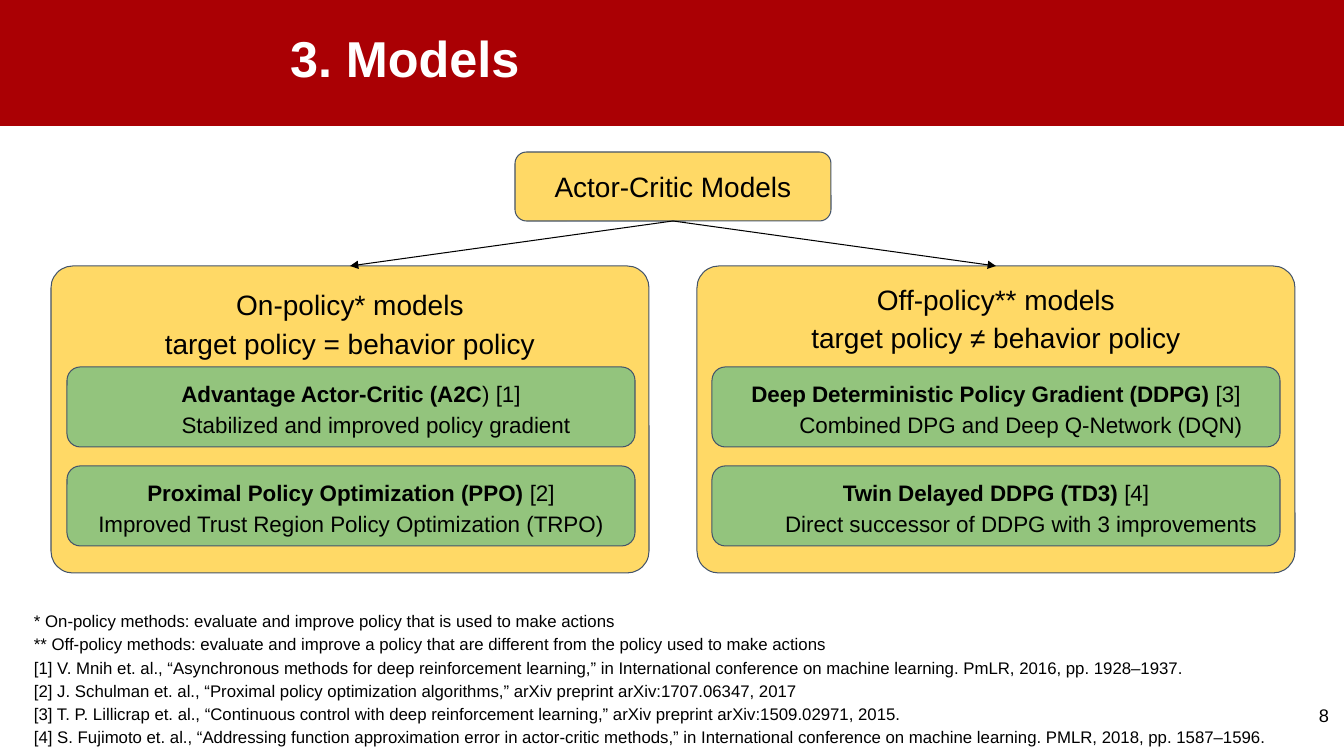
"""Build the slide that sorts actor-critic models into on-policy and off-policy groups."""
from lxml.etree import SubElement
from pptx import Presentation
from pptx.dml.color import RGBColor
from pptx.enum.shapes import MSO_CONNECTOR, MSO_SHAPE
from pptx.enum.text import MSO_ANCHOR, PP_ALIGN
from pptx.oxml.ns import qn
from pptx.util import Emu, Pt

RED = RGBColor(0xAA, 0x00, 0x04)
YELLOW = RGBColor(0xFF, 0xD9, 0x66)
GREEN = RGBColor(0x93, 0xC4, 0x7D)
SLATE = RGBColor(0x44, 0x54, 0x6A)
BLACK = RGBColor(0x00, 0x00, 0x00)
WHITE = RGBColor(0xFF, 0xFF, 0xFF)

GROUPS = [
    (
        51,
        [("On-policy* models", 1.15), ("target policy = behavior policy", 1.15)],
        67,
        [
            ("Advantage Actor-Critic (A2C", ") [1]", "Stabilized and improved policy gradient", 50),
            ("Proximal Policy Optimization (PPO) ", "[2]",
             "Improved Trust Region Policy Optimization (TRPO)", 0),
        ],
    ),
    (
        697,
        [("Off-policy** models", 1.0), ("target policy ≠ behavior policy", 1.15)],
        712,
        [
            ("Deep Deterministic Policy Gradient (DDPG) ", "[3]",
             "Combined DPG and Deep Q-Network (DQN)", 50),
            ("Twin Delayed DDPG (TD3) ", "[4]", "Direct successor of DDPG with 3 improvements", 50),
        ],
    ),
]

FOOTNOTES = [
    "* On-policy methods: evaluate and improve policy that is used to make actions",
    "** Off-policy methods: evaluate and improve a policy that are different from the policy used to make actions",
    "[1] V. Mnih et. al., “Asynchronous methods for deep reinforcement learning,” in International conference on machine learning. PmLR, 2016, pp. 1928–1937.",
    "[2] J. Schulman et. al., “Proximal policy optimization algorithms,” arXiv preprint arXiv:1707.06347, 2017",
    "[3] T. P. Lillicrap et. al., “Continuous control with deep reinforcement learning,” arXiv preprint arXiv:1509.02971, 2015.",
    "[4] S. Fujimoto et. al., “Addressing function approximation error in actor-critic methods,” in International conference on machine learning. PMLR, 2018, pp. 1587–1596.",
]


def px(length):
    return Emu(round(length * 914400 / 100.8))


class Painter:
    def __init__(self, page, font="Arial"):
        self.page = page
        self.font = font

    def fill_text(self, box, paragraphs, size, color=BLACK, align=PP_ALIGN.LEFT,
                  anchor=MSO_ANCHOR.TOP, inset=10):
        frame = box.text_frame
        frame.word_wrap = True
        frame.vertical_anchor = anchor
        frame.margin_left = frame.margin_right = px(10)
        frame.margin_top = frame.margin_bottom = px(inset)
        for index, (spans, spacing, indent) in enumerate(paragraphs):
            para = frame.add_paragraph() if index else frame.paragraphs[0]
            para.alignment = align
            para.line_spacing = spacing
            para.space_before = para.space_after = Pt(0)
            if indent:
                para._p.get_or_add_pPr().set("marL", str(px(indent)))
            for text, bold in spans:
                span = para.add_run()
                span.text = text
                span.font.name = self.font
                span.font.size = Pt(size)
                span.font.bold = bold
                span.font.color.rgb = color

    def shape(self, kind, area, fill):
        box = self.page.shapes.add_shape(kind, *map(px, area))
        box.shadow.inherit = False
        box.fill.solid()
        box.fill.fore_color.rgb = fill
        box.line.fill.background()
        return box

    def card(self, area, fill, paragraphs, size, rounding=0.167, anchor=MSO_ANCHOR.MIDDLE):
        box = self.shape(MSO_SHAPE.ROUNDED_RECTANGLE, area, fill)
        box.adjustments[0] = rounding
        box.line.color.rgb = SLATE
        box.line.width = Pt(0.75)
        self.fill_text(box, paragraphs, size, align=PP_ALIGN.CENTER, anchor=anchor)
        return box

    def text(self, area, paragraphs, size, **style):
        box = self.page.shapes.add_textbox(*map(px, area))
        self.fill_text(box, paragraphs, size, **style)

    def title(self, area, text):
        box = self.page.shapes.title
        box.left, box.top, box.width, box.height = map(px, area)
        self.fill_text(box, [([(text, True)], 0.9, 0)], 36, color=WHITE,
                       anchor=MSO_ANCHOR.MIDDLE, inset=5)
        self.page.shapes.element.append(box.element)

    def arrow(self, parent, child):
        link = self.page.shapes.add_connector(MSO_CONNECTOR.STRAIGHT, 0, 0, 0, 0)
        link.begin_connect(parent, 2)
        link.end_connect(child, 0)
        link.line.color.rgb = BLACK
        link.line.width = Pt(0.75)
        SubElement(link.line._get_or_add_ln(), qn("a:tailEnd"), type="triangle")
        SubElement(link.element.spPr, qn("a:effectLst"))


def main():
    deck = Presentation()
    deck.slide_width, deck.slide_height = px(1344), px(756)
    painter = Painter(deck.slides.add_slide(deck.slide_layouts[5]))

    painter.shape(MSO_SHAPE.RECTANGLE, (0, 0, 1344, 126), RED)
    painter.title((280, -4, 518, 131), "3. Models")
    root = painter.card((515, 152, 316, 69), YELLOW,
                        [([("Actor-Critic Models", False)], 1.0, 0)], 20)

    for group_left, headings, model_left, models in GROUPS:
        paragraphs = [([(text, False)], spacing, 0) for text, spacing in headings]
        group = painter.card((group_left, 266, 598, 307), YELLOW, paragraphs, 20,
                             rounding=0.071, anchor=MSO_ANCHOR.TOP)
        for row, (name, reference, summary, indent) in enumerate(models):
            painter.card(
                (model_left, 367 + 99 * row, 568, 80), GREEN,
                [([(name, True), (reference, False)], 1.15, 0),
                 ([(summary, False)], 1.15, indent)], 16)
        painter.arrow(root, group)

    painter.text((24, 598, 1262, 158), [([(note, False)], 1.15, 0) for note in FOOTNOTES], 12)
    painter.text((1258, 699, 81, 57), [([("8", False)], 1.0, 0)], 13,
                 align=PP_ALIGN.RIGHT, inset=5)
    deck.save("out.pptx")


if __name__ == "__main__":
    main()
